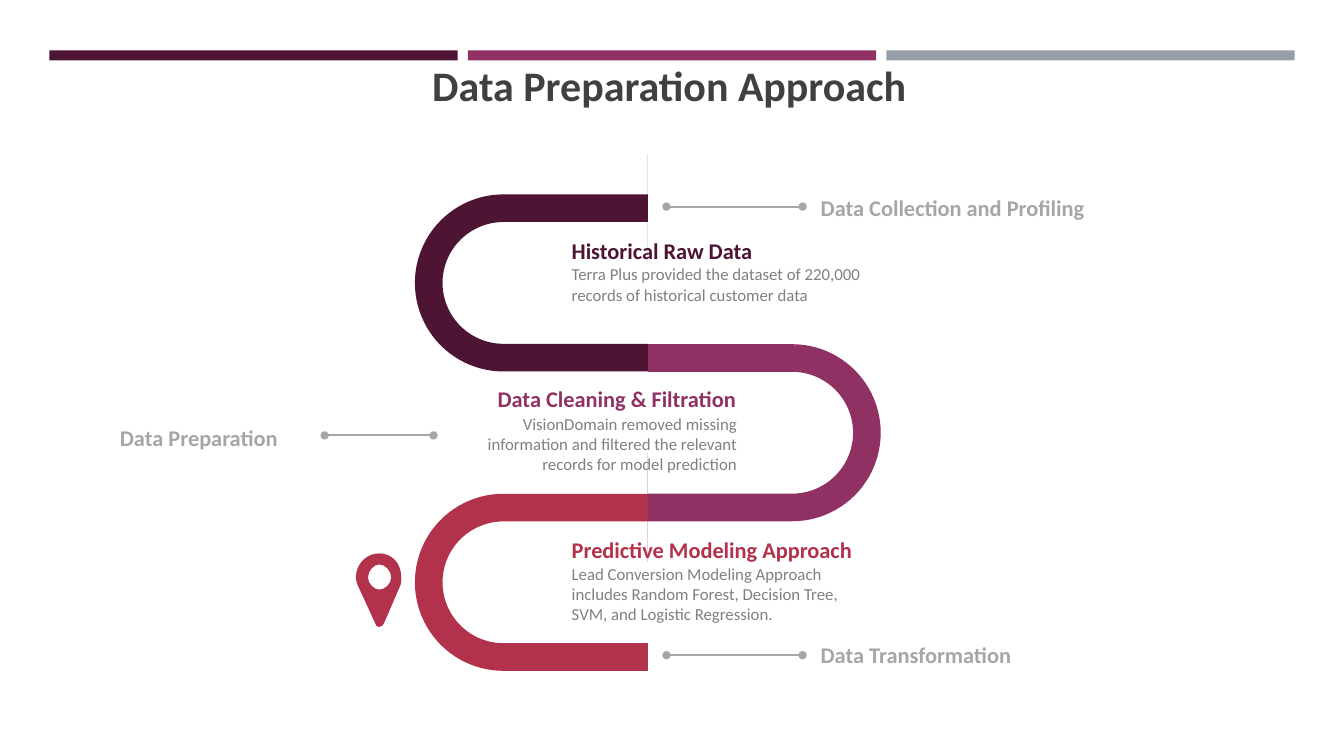
from dataclasses import dataclass

from lxml.etree import SubElement
from pptx import Presentation
from pptx.dml.color import RGBColor
from pptx.enum.shapes import MSO_CONNECTOR, MSO_SHAPE
from pptx.enum.text import MSO_ANCHOR, MSO_AUTO_SIZE, PP_ALIGN
from pptx.oxml.ns import qn
from pptx.shapes.autoshape import Shape
from pptx.slide import Slide
from pptx.util import Inches, Pt

PLUM = RGBColor(0x4D, 0x14, 0x34)
MAGENTA = RGBColor(0x90, 0x31, 0x63)
CRIMSON = RGBColor(0xB2, 0x32, 0x4B)
SLATE = RGBColor(0x96, 0x9F, 0xA7)
CHARCOAL = RGBColor(0x40, 0x40, 0x40)
GRAY = RGBColor(0x80, 0x80, 0x80)
LIGHT_GRAY = RGBColor(0xA6, 0xA6, 0xA6)
FONT = "Calibri"
BEND_ADJUSTMENTS = (0.127, 0.25, 0, 0.407, 1)
BEND_WIDTH, BEND_HEIGHT = 2.16, 2.31
PIN_LEFT, PIN_TOP, PIN_RIGHT, PIN_BOTTOM = 3.53, 5.49, 3.98, 6.22


@dataclass(frozen=True)
class Bend:
    left: float
    top: float
    rotation: int
    color: RGBColor


@dataclass(frozen=True)
class Caption:
    text: str
    left: float
    top: float
    width: float
    height: float
    size: int
    color: RGBColor
    bold: bool = True
    wrap: bool = False
    alignment: PP_ALIGN = PP_ALIGN.LEFT
    anchor: MSO_ANCHOR = MSO_ANCHOR.TOP


@dataclass(frozen=True)
class Leader:
    start: float
    end: float
    y: float


@dataclass(frozen=True)
class Step:
    command: str
    points: tuple[tuple[float, float], ...] = ()


TITLE = Caption("Data Preparation Approach", 0.53, 0.56, 12.22, 0.57, 30, CHARCOAL,
                alignment=PP_ALIGN.CENTER, anchor=MSO_ANCHOR.MIDDLE)

BENDS = (
    Bend(4.19, 1.45, 270, PLUM),
    Bend(6.5, 3.34, 90, MAGENTA),
    Bend(4.19, 4.42, 270, CRIMSON),
)

CAPTIONS = (
    Caption("Terra Plus provided the dataset of 220,000 records of historical customer data",
            5.67, 2.62, 3.07, 0.4, 12, GRAY, bold=False, wrap=True),
    Caption("Historical Raw Data", 5.67, 2.35, 1.81, 0.27, 16, PLUM),
    Caption("VisionDomain removed missing information and filtered the relevant "
            "records for model prediction",
            4.43, 4.1, 2.88, 0.61, 12, GRAY, bold=False, wrap=True,
            alignment=PP_ALIGN.RIGHT),
    Caption("Data Cleaning & Filtration", 4.91, 3.82, 2.39, 0.27, 16, MAGENTA,
            alignment=PP_ALIGN.RIGHT),
    Caption("Lead Conversion Modeling Approach includes Random Forest, Decision Tree, "
            "SVM, and Logistic Regression.",
            5.67, 5.59, 2.88, 0.61, 12, GRAY, bold=False, wrap=True),
    Caption("Predictive Modeling Approach", 5.67, 5.32, 2.82, 0.27, 16, CRIMSON),
    Caption("Data Collection and Profiling", 8.14, 1.92, 2.65, 0.27, 16, LIGHT_GRAY,
            anchor=MSO_ANCHOR.BOTTOM),
    Caption("Data Preparation", 1.19, 4.2, 2.54, 0.27, 16, LIGHT_GRAY, wrap=True,
            anchor=MSO_ANCHOR.BOTTOM),
    Caption("Data Transformation", 8.14, 6.36, 2.54, 0.27, 16, LIGHT_GRAY, wrap=True,
            anchor=MSO_ANCHOR.BOTTOM),
)

LEADERS = (Leader(7.96, 6.61, 2.05), Leader(7.96, 6.61, 6.5), Leader(4.3, 3.22, 4.32))

PIN_STEPS = (
    Step("moveTo", ((3.97, 5.81),)),
    Step("lnTo", ((3.81, 6.18),)),
    Step("cubicBezTo", ((3.8, 6.2), (3.79, 6.22), (3.76, 6.22))),
    Step("cubicBezTo", ((3.74, 6.22), (3.72, 6.2), (3.72, 6.18))),
    Step("lnTo", ((3.55, 5.81),)),
    Step("cubicBezTo", ((3.54, 5.79), (3.53, 5.75), (3.53, 5.73))),
    Step("cubicBezTo", ((3.53, 5.59), (3.64, 5.49), (3.76, 5.49))),
    Step("cubicBezTo", ((3.89, 5.49), (3.98, 5.59), (3.98, 5.73))),
    Step("cubicBezTo", ((3.98, 5.75), (3.98, 5.79), (3.97, 5.81))),
    Step("close"),
    Step("moveTo", ((3.76, 5.6),)),
    Step("cubicBezTo", ((3.71, 5.6), (3.65, 5.66), (3.65, 5.73))),
    Step("cubicBezTo", ((3.65, 5.79), (3.71, 5.85), (3.76, 5.85))),
    Step("cubicBezTo", ((3.82, 5.85), (3.88, 5.79), (3.88, 5.73))),
    Step("cubicBezTo", ((3.88, 5.66), (3.82, 5.6), (3.76, 5.6))),
    Step("close"),
)


def paint(shape: Shape, color: RGBColor) -> None:
    shape.shadow.inherit = False
    shape.fill.solid()
    shape.fill.fore_color.rgb = color
    shape.line.fill.background()


def write_caption(shape: Shape, caption: Caption, auto_size: MSO_AUTO_SIZE) -> None:
    shape.left, shape.top = Inches(caption.left), Inches(caption.top)
    shape.width, shape.height = Inches(caption.width), Inches(caption.height)
    frame = shape.text_frame
    frame.margin_left = frame.margin_right = frame.margin_top = frame.margin_bottom = 0
    frame.word_wrap = caption.wrap
    frame.auto_size = auto_size
    frame.vertical_anchor = caption.anchor
    frame.text = caption.text
    paragraph = frame.paragraphs[0]
    paragraph.alignment = caption.alignment
    paragraph.space_before = Pt(0)
    paragraph.font.name = FONT
    paragraph.font.size = Pt(caption.size)
    paragraph.font.bold = caption.bold
    paragraph.font.color.rgb = caption.color


def draw_header_bars(slide: Slide) -> None:
    for index, color in enumerate((PLUM, MAGENTA, SLATE)):
        bar = slide.shapes.add_shape(
            MSO_SHAPE.RECTANGLE, Inches(0.49 + 4.15 * index), Inches(0.5),
            Inches(4.05), Inches(0.1))
        paint(bar, color)


def draw_bend(slide: Slide, bend: Bend) -> None:
    shape = slide.shapes.add_shape(
        MSO_SHAPE.U_TURN_ARROW, Inches(bend.left), Inches(bend.top),
        Inches(BEND_WIDTH), Inches(BEND_HEIGHT))
    for index, value in enumerate(BEND_ADJUSTMENTS):
        shape.adjustments[index] = value
    shape.rotation = bend.rotation
    paint(shape, bend.color)


def draw_pin(slide: Slide) -> None:
    builder = slide.shapes.build_freeform(Inches(PIN_LEFT), Inches(PIN_TOP))
    builder.add_line_segments([(Inches(PIN_RIGHT), Inches(PIN_BOTTOM))])
    pin = builder.convert_to_shape()
    outline = next(pin._element.iter(qn("a:path")))
    for child in list(outline):
        outline.remove(child)
    for step in PIN_STEPS:
        segment = SubElement(outline, qn(f"a:{step.command}"))
        for x, y in step.points:
            SubElement(segment, qn("a:pt"), x=str(Inches(x) - Inches(PIN_LEFT)),
                       y=str(Inches(y) - Inches(PIN_TOP)))
    paint(pin, CRIMSON)


def draw_leader(slide: Slide, leader: Leader) -> None:
    connector = slide.shapes.add_connector(
        MSO_CONNECTOR.STRAIGHT, Inches(leader.start), Inches(leader.y),
        Inches(leader.end), Inches(leader.y))
    connector.line.color.rgb = LIGHT_GRAY
    connector.line.width = Pt(1.5)
    line = connector.line._get_or_add_ln()
    for end in ("a:headEnd", "a:tailEnd"):
        SubElement(line, qn(end), type="oval")
    SubElement(connector._element.spPr, qn("a:effectLst"))


def main() -> None:
    presentation = Presentation()
    presentation.slide_width = Inches(13.33)
    presentation.slide_height = Inches(7.5)
    slide = presentation.slides.add_slide(presentation.slide_layouts[5])
    draw_header_bars(slide)
    write_caption(slide.shapes.title, TITLE, MSO_AUTO_SIZE.NONE)
    for bend in BENDS:
        draw_bend(slide, bend)
    for caption in CAPTIONS:
        text_box = slide.shapes.add_textbox(0, 0, 0, 0)
        write_caption(text_box, caption, MSO_AUTO_SIZE.SHAPE_TO_FIT_TEXT)
    draw_pin(slide)
    for leader in LEADERS:
        draw_leader(slide, leader)
    presentation.save("out.pptx")


if __name__ == "__main__":
    main()
